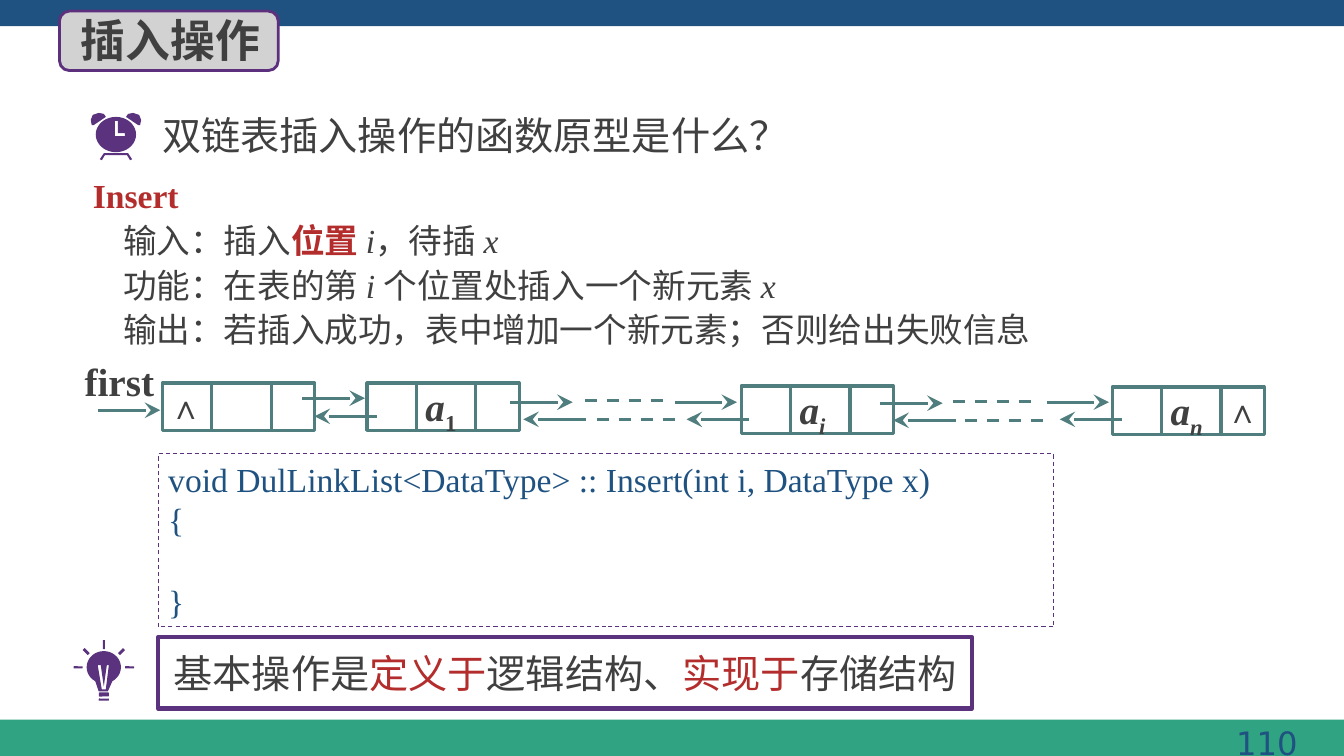
"""Build the slide on the insert operation of a doubly linked list."""
from math import cos, radians, sin

from lxml import etree
from pptx import Presentation
from pptx.dml.color import RGBColor
from pptx.enum.dml import MSO_LINE
from pptx.enum.shapes import MSO_CONNECTOR, MSO_SHAPE
from pptx.enum.text import MSO_ANCHOR, MSO_AUTO_SIZE, PP_ALIGN
from pptx.oxml.ns import qn
from pptx.util import Inches, Pt

RECT, ROUNDED = MSO_SHAPE.RECTANGLE, MSO_SHAPE.ROUNDED_RECTANGLE
STRAIGHT, DASH = MSO_CONNECTOR.STRAIGHT, MSO_LINE.DASH
TOP, MIDDLE = MSO_ANCHOR.TOP, MSO_ANCHOR.MIDDLE
LEFT, CENTER, RIGHT = PP_ALIGN.LEFT, PP_ALIGN.CENTER, PP_ALIGN.RIGHT

COLORS = {"navy": "1F5281", "green": "30A383", "badge": "D2D2D2", "edge": "5C307D",
          "purple": "5A327D", "teal": "507D7D", "ink": "404040", "red": "B42D2D"}
CJK, SERIF, SANS = "Noto Sans CJK SC", "Times New Roman", "DejaVu Sans"

TITLE = "插入操作"
QUESTION = "双链表插入操作的函数原型是什么？"
PAGE = "110"
PROTOTYPE = [
    [("Insert", "red", "b")],
    [("输入：插入", "ink", ""), ("位置 ", "red", "b"), ("i", "ink", "i"),
     ("，待插 ", "ink", ""), ("x", "ink", "i")],
    [("功能：在表的第 ", "ink", ""), ("i ", "ink", "i"),
     ("个位置处插入一个新元素 ", "ink", ""), ("x", "ink", "i")],
    [("输出：若插入成功，表中增加一个新元素；否则给出失败信息", "ink", "")],
]
CODE = ["void DulLinkList<DataType> :: Insert(int i, DataType x)", "{", "}"]
CONCLUSION = [("基本操作是", "ink", ""), ("定义于", "red", ""), ("逻辑结构、", "ink", ""),
              ("实现于", "red", ""), ("存储结构", "ink", "")]

NODES = [(1.61, 3.8, None, ""), (3.64, 3.8, "1", "b"),
         (7.35, 3.83, "i", "bi"), (11.03, 3.84, "n", "bi")]
NODE_W, NODE_H, DIVIDERS = 1.51, 0.47, (0.49, 1.08)
NEXT_LINKS = [(0.97, 4.07), (3, 3.95), (5.06, 3.99), (6.69, 3.99), (8.73, 4), (10.38, 3.99)]
PRIOR_LINKS = [(3.12, 4.13), (5.19, 4.16), (6.81, 4.16), (8.86, 4.17), (10.51, 4.16)]
ELLIPSES = [(5.8, 3.97), (5.92, 4.16), (9.45, 3.98), (9.57, 4.17)]
LINK_W, ELLIPSIS_W = 0.62, 0.79
NULL_MARKS = [(1.58, 3.78), (12.06, 3.82)]

CLOCK_X, BULB_X = 1.15, 1.03
CLOCK_BELL = [(0.91, 1.24), (0.9, 1.19), (0.92, 1.14), (0.98, 1.12), (1.03, 1.13),
              (1.05, 1.16), (0.93, 1.24)]
CLOCK_HANDS = [(1.14, 1.2), (1.17, 1.2), (1.17, 1.32), (1.24, 1.32), (1.24, 1.35), (1.14, 1.35)]
CLOCK_FEET = [(0.99, 1.58), (1.03, 1.52), (1.27, 1.52), (1.31, 1.58), (1.29, 1.59),
              (1.26, 1.54), (1.04, 1.54), (1.01, 1.59)]
BULB_NECK = [(1.07, 6.86), (0.98, 6.86)]
FILAMENT = [(0.97, 6.6), (1, 6.6), (1.03, 6.81), (1.06, 6.6), (1.08, 6.6),
            (1.05, 6.84), (1.01, 6.84)]
SLANTED_RAY = [(0.84, 6.43), (0.89, 6.48), (0.87, 6.5), (0.82, 6.45)]
BULB_BARS = [(0.98, 6.93, 0.1, 0.02), (0.98, 6.87, 0.1, 0.04), (1.02, 6.35, 0.02, 0.09),
             (0.73, 6.61, 0.09, 0.02), (1.24, 6.61, 0.09, 0.02)]

prs = Presentation()
prs.slide_width, prs.slide_height = Inches(13.33), Inches(7.5)
slide = prs.slides.add_slide(prs.slide_layouts[1])
shapes = slide.shapes


def rgb(color):
    return RGBColor.from_string(COLORS[color])


def place(shape, *box):
    shape.left, shape.top, shape.width, shape.height = map(Inches, box)


def paint(shape, fill=None, line=None, width=1.0):
    shape.shadow.inherit = False
    if fill:
        shape.fill.solid()
        shape.fill.fore_color.rgb = rgb(fill)
    else:
        shape.fill.background()
    if line:
        shape.line.color.rgb = rgb(line)
        shape.line.width = Pt(width)
    else:
        shape.line.fill.background()
    return shape


def add_box(kind, box, **look):
    return paint(shapes.add_shape(kind, *map(Inches, box)), **look)


def add_run(paragraph, text, color, style, size, font=CJK):
    run = paragraph.add_run()
    run.text = text
    run.font.size, run.font.name = Pt(size), font
    run.font.bold, run.font.italic = "b" in style, "i" in style
    run.font.color.rgb = rgb(color)
    east_asian = etree.SubElement(run.font._element, qn("a:ea"))
    east_asian.set("typeface", CJK)
    return run


def set_frame(shape, anchor, align=LEFT):
    frame = shape.text_frame
    frame.word_wrap, frame.auto_size = True, MSO_AUTO_SIZE.NONE
    frame.vertical_anchor = anchor
    frame.paragraphs[0].alignment = align
    return frame


def add_label(box, text, color, style, size, font, align=LEFT):
    label = shapes.add_textbox(*map(Inches, box))
    add_run(set_frame(label, MIDDLE, align).paragraphs[0], text, color, style, size, font)


def add_line(x1, y1, x2, y2, arrow=False, dashed=False):
    connector = shapes.add_connector(STRAIGHT, *map(Inches, (x1, y1, x2, y2)))
    connector.line.color.rgb = rgb("teal")
    connector.line.width = Pt(2.25)
    if dashed:
        connector.line.dash_style = DASH
    if arrow:
        etree.SubElement(connector.line._get_or_add_ln(), qn("a:tailEnd"),
                         type="stealth", w="lg", len="lg")
    etree.SubElement(connector.element.spPr, qn("a:effectLst"))


def add_outline(*contours):
    scaled = [[(Inches(x), Inches(y)) for x, y in contour] for contour in contours]
    builder = shapes.build_freeform(*scaled[0][0])
    builder.add_line_segments(scaled[0][1:])
    for hole in scaled[1:]:
        builder.move_to(*hole[0])
        builder.add_line_segments(hole[1:])
    paint(builder.convert_to_shape(), fill="purple")


def arc(cx, cy, rx, ry, start, end):
    return [(cx + rx * cos(radians(a)), cy + ry * sin(radians(a)))
            for a in range(start, end + 1, 10)]


def mirror(points, axis):
    return [(2 * axis - x, y) for x, y in points]


add_box(RECT, (0, 7.14, 13.33, 0.36), fill="green")
add_box(RECT, (0, 0, 13.33, 0.26), fill="navy")
add_label((10.03, 7.11, 2.94, 0.52), PAGE, "navy", "", 23, SANS, RIGHT)

badge = add_box(ROUNDED, (0.59, 0.11, 2.17, 0.59), fill="badge", line="edge", width=2)
title = shapes.title
badge.element.addnext(title.element)
place(title, 0.7, 0.07, 2.15, 0.64)
add_run(set_frame(title, MIDDLE).paragraphs[0], TITLE, "ink", "b", 32)
add_label((1.51, 1.05, 6.86, 0.57), QUESTION, "ink", "", 28, CJK)

add_outline(CLOCK_FEET)
add_outline(CLOCK_BELL)
add_outline(mirror(CLOCK_BELL, CLOCK_X))
add_outline(arc(CLOCK_X, 1.335, 0.2, 0.175, 0, 360), CLOCK_HANDS)

prototype = slide.placeholders[1]
place(prototype, 0.82, 1.64, 10.28, 1.9)
prototype_frame = set_frame(prototype, TOP)
for index, parts in enumerate(PROTOTYPE):
    paragraph = prototype_frame.paragraphs[0] if index == 0 else prototype_frame.add_paragraph()
    properties = paragraph._p.get_or_add_pPr()
    properties.set("marL", str(Inches(0.3 if index else 0)))
    properties.set("indent", "0")
    etree.SubElement(properties, qn("a:buNone"))
    paragraph.line_spacing, paragraph.space_before = Pt(32), Pt(0)
    for text, color, style in parts:
        add_run(paragraph, text, color, style, 24, SERIF)

for x, y, subscript, style in NODES:
    node = add_box(RECT, (x, y, NODE_W, NODE_H), line="teal", width=2.25)
    if subscript:
        node_frame = set_frame(node, TOP)
        node_frame.margin_left, node_frame.margin_top = Inches(0.58), 0
        element = node_frame.paragraphs[0]
        element.line_spacing = 0.9
        add_run(element, "a", "ink", "bi", 28, SERIF)
        index_run = add_run(element, subscript, "ink", style, 28, SERIF)
        index_run.font._element.set("baseline", "-25000")
    for offset in DIVIDERS:
        add_line(x + offset, y, x + offset, y + NODE_H)
for x, y in NEXT_LINKS:
    add_line(x, y, x + LINK_W, y, arrow=True)
for x, y in PRIOR_LINKS:
    add_line(x + LINK_W, y, x, y, arrow=True)
for x, y in ELLIPSES:
    add_line(x, y, x + ELLIPSIS_W, y, dashed=True)
for x, y in NULL_MARKS:
    add_label((x, y, 0.49, 0.5), "∧", "ink", "b", 24, SERIF)
add_label((0.74, 3.49, 1.19, 0.57), "first", "ink", "b", 28, SERIF)

code_box = add_box(RECT, (1.57, 4.5, 8.88, 1.72), line="purple", width=0.75)
code_box.line.dash_style = DASH
code_frame = set_frame(code_box, TOP)
for index, code in enumerate(CODE):
    paragraph = code_frame.paragraphs[0] if index == 0 else code_frame.add_paragraph()
    paragraph.alignment = LEFT
    add_run(paragraph, code, "navy", "", 24, SERIF)
code_frame.paragraphs[-1].space_before = Pt(30)

conclusion = add_box(RECT, (1.57, 6.32, 8.07, 0.71), line="purple", width=3)
conclusion_line = set_frame(conclusion, MIDDLE, CENTER).paragraphs[0]
for text, color, style in CONCLUSION:
    add_run(conclusion_line, text, color, style, 28)

add_outline(arc(BULB_X, 6.62, 0.17, 0.16, 120, 420) + BULB_NECK, FILAMENT)
add_outline(SLANTED_RAY)
add_outline(mirror(SLANTED_RAY, BULB_X))
for bar in BULB_BARS:
    add_box(ROUNDED, bar, fill="purple")

prs.save("out.pptx")
